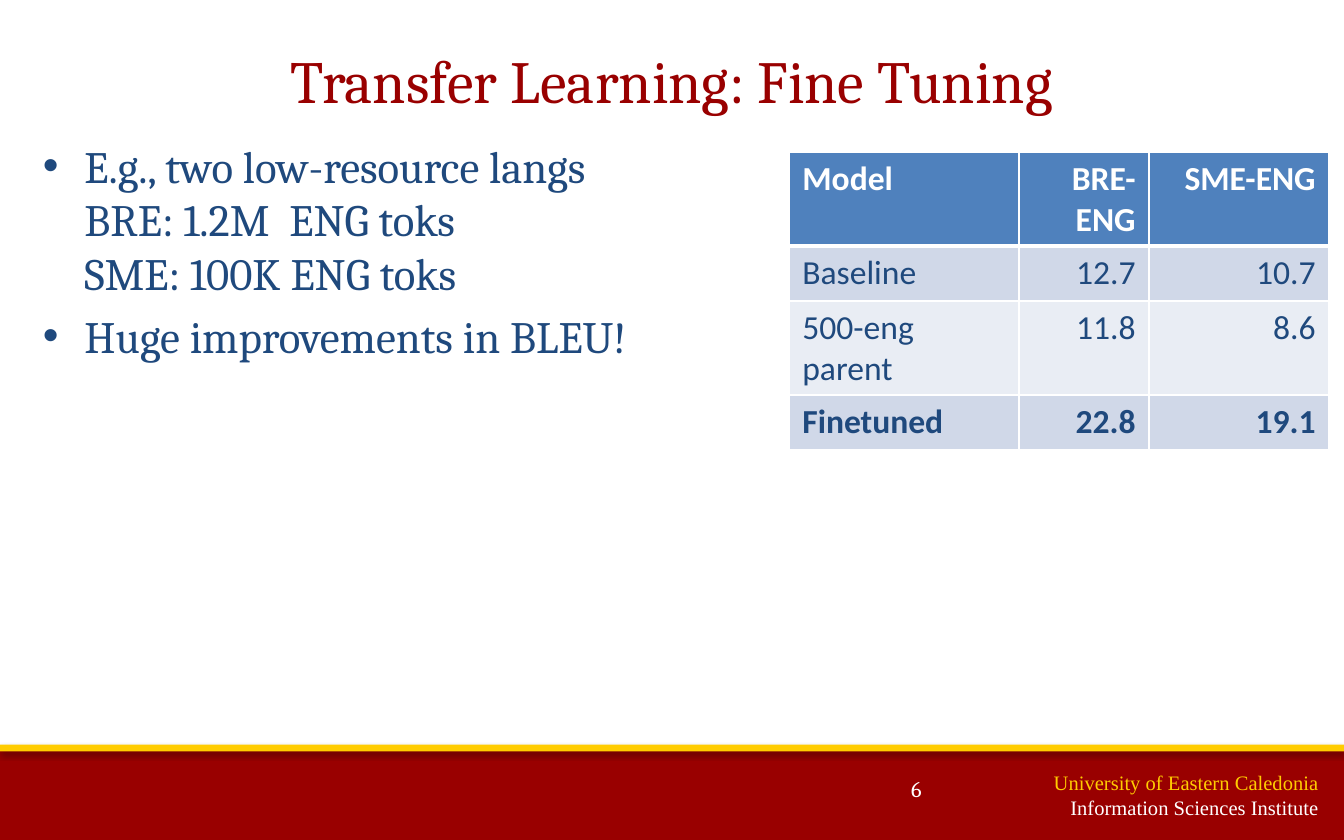
from lxml.etree import SubElement
from pptx import Presentation
from pptx.dml.color import RGBColor
from pptx.enum.shapes import MSO_SHAPE
from pptx.enum.text import MSO_ANCHOR, PP_ALIGN
from pptx.oxml import parse_xml
from pptx.oxml.ns import nsdecls, qn
from pptx.util import Inches, Pt

COLORS = {
    "cardinal": "990000", "gold": "FFCC00", "white": "FFFFFF", "navy": "1F497D",
    "header": "4F81BD", "band": "D0D8E8", "light": "E9EDF4",
}
TITLE = {"name": "Cambria", "size": Pt(32), "color": "cardinal"}
BODY = {"name": "Cambria", "size": Pt(24), "color": "navy"}
NUMBER = {"name": "Cambria", "size": Pt(12), "color": "white"}
CREDIT = {"name": "Times New Roman", "size": Pt(11)}
CELL = {"name": "Calibri", "size": Pt(18)}

BULLETS = [
    "E.g., two low-resource langs\vBRE: 1.2M  ENG toks \vSME: 100K ENG toks",
    "Huge improvements in BLEU!",
]
SCORES = [
    ["Model", "BRE-ENG", "SME-ENG"],
    ["Baseline", "12.7", "10.7"],
    ["500-eng parent", "11.8", "8.6"],
    ["Finetuned", "22.8", "19.1"],
]


def rgb(name):
    """Return the named colour."""
    return RGBColor.from_string(COLORS[name])


def write(p, text, fmt, align=PP_ALIGN.LEFT):
    """Fill a paragraph with formatted text."""
    p.text = text
    p.alignment = align
    for r in p.runs:
        for key, value in fmt.items():
            if key == "color":
                r.font.color.rgb = rgb(value)
            else:
                setattr(r.font, key, value)


def add_text(s, box, lines, align=PP_ALIGN.LEFT, anchor=MSO_ANCHOR.TOP, wrap=True):
    """Add a text box with one paragraph for each (text, format) pair."""
    tf = s.shapes.add_textbox(*map(Inches, box)).text_frame
    tf.word_wrap = wrap
    tf.vertical_anchor = anchor
    for i, (text, fmt) in enumerate(lines):
        p = tf.add_paragraph() if i else tf.paragraphs[0]
        write(p, text, fmt, align)
    return tf


def add_bar(s, box, color, alpha):
    """Add a plain bar with a soft shadow below it."""
    sp = s.shapes.add_shape(MSO_SHAPE.RECTANGLE, *map(Inches, box))
    sp.fill.solid()
    sp.fill.fore_color.rgb = rgb(color)
    sp.line.fill.background()
    sp.shadow.inherit = False
    effects = sp._element.spPr.find(qn("a:effectLst"))
    effects.append(parse_xml(
        f'<a:outerShdw {nsdecls("a")} blurRad="{Pt(3.1)}" dist="{Pt(1.7)}" dir="5400000" '
        f'rotWithShape="0"><a:srgbClr val="000000"><a:alpha val="{alpha * 1000}"/>'
        '</a:srgbClr></a:outerShdw>'))


def add_footer(s, box):
    """Add the footer band with its stripe, credit and slide number."""
    x, y, w, h = box
    add_bar(s, (x, y + 0.04, w, h - 0.04), "cardinal", 35)
    add_bar(s, (x, y, w, 0.05), "gold", 38)
    add_text(s, (x + 7.4, y + 0.14, 2.51, 0.47), [
        ("University of Eastern Caledonia", {**CREDIT, "color": "gold"}),
        ("Information Sciences Institute", {**CREDIT, "color": "white"}),
    ], PP_ALIGN.RIGHT)
    add_text(s, (x + 6.68, y + 0.18, 0.45, 0.3), [("6", NUMBER)], wrap=False)


def add_bullets(s, box):
    """Add the bulleted body text."""
    tf = add_text(s, box, [(text, BODY) for text in BULLETS])
    for p in tf.paragraphs:
        p.space_before = Pt(4.8)
        pPr = p._p.get_or_add_pPr()
        pPr.set("marL", str(Inches(0.31)))
        pPr.set("indent", str(-Inches(0.31)))
        SubElement(pPr, qn("a:buFont")).set("typeface", "Arial")
        SubElement(pPr, qn("a:buChar")).set("char", "•")


def set_borders(cell, bottom):
    """Draw white borders, with the given width below the cell."""
    tcPr = cell._tc.get_or_add_tcPr()
    for i, (side, width) in enumerate({"L": 1, "R": 1, "T": 1, "B": bottom}.items()):
        tcPr.insert(i, parse_xml(
            f'<a:ln{side} {nsdecls("a")} w="{Pt(width)}"><a:solidFill>'
            f'<a:srgbClr val="{COLORS["white"]}"/></a:solidFill></a:ln{side}>'))


def add_scores(s, box):
    """Add the table of scores."""
    table = s.shapes.add_table(len(SCORES), len(SCORES[0]), *map(Inches, box)).table
    for column, width in zip(table.columns, (1.71, 0.97, 1.34)):
        column.width = Inches(width)
    for i, row in enumerate(SCORES):
        head = i == 0
        fill = "header" if head else ("light", "band")[i % 2]
        fmt = {**CELL, "color": "white" if head else "navy",
               "bold": head or i == len(SCORES) - 1}
        for j, text in enumerate(row):
            cell = table.cell(i, j)
            cell.fill.solid()
            cell.fill.fore_color.rgb = rgb(fill)
            write(cell.text_frame.paragraphs[0], text, fmt,
                  PP_ALIGN.RIGHT if j else PP_ALIGN.LEFT)
            set_borders(cell, 3 if head else 1)


def main():
    """Build the slide and save it."""
    prs = Presentation()
    prs.slide_width, prs.slide_height = Inches(10), Inches(6.25)
    s = prs.slides.add_slide(prs.slide_layouts[6])
    add_footer(s, (0, 5.54, 10, 0.71))
    add_text(s, (0.69, 0.31, 8.62, 0.57), [("Transfer Learning: Fine Tuning", TITLE)],
             PP_ALIGN.CENTER, MSO_ANCHOR.MIDDLE)
    add_scores(s, (5.87, 1.13, 4.02, 1.64))
    add_bullets(s, (0.22, 0.98, 9.66, 4.45))
    prs.save("out.pptx")


if __name__ == "__main__":
    main()
